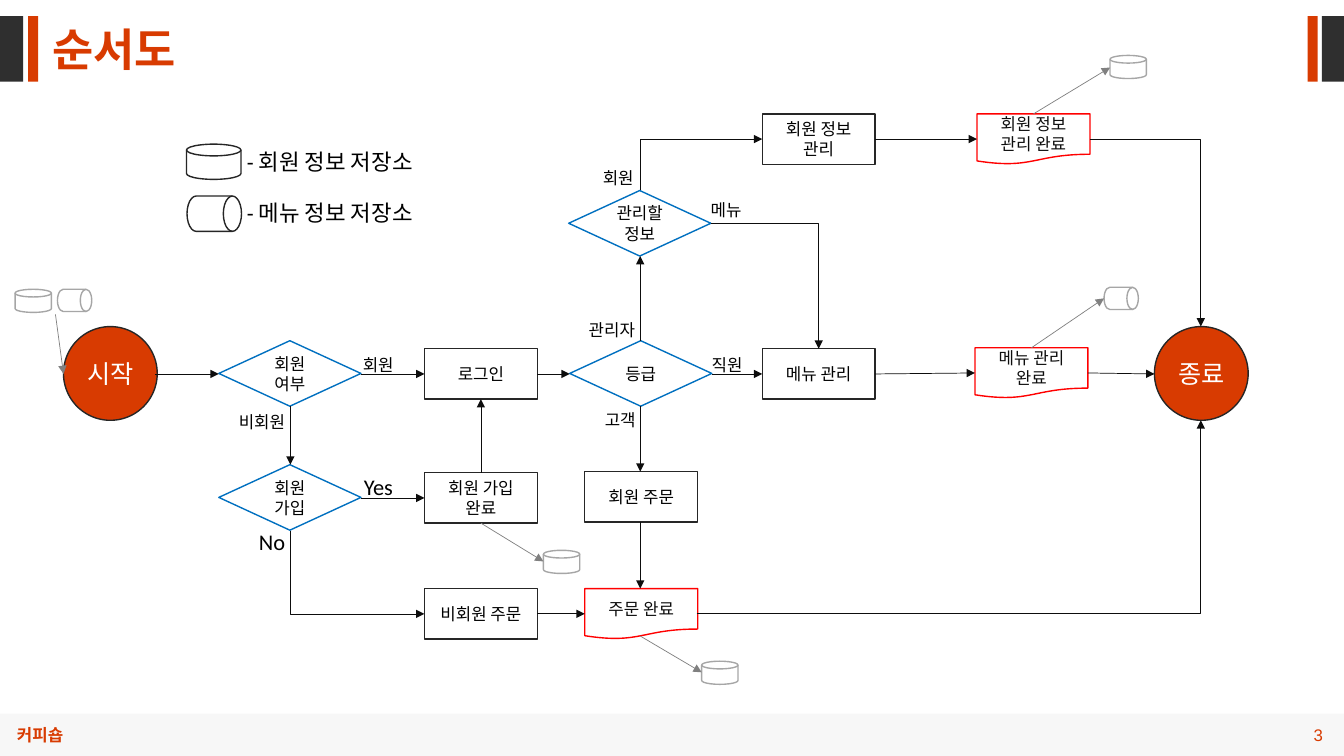
import pptx
import pptx.dml.color
import pptx.enum.shapes
import pptx.enum.text
import pptx.oxml
import pptx.oxml.ns
import pptx.util

SHAPE = pptx.enum.shapes.MSO_SHAPE
LINE = pptx.enum.shapes.MSO_CONNECTOR
ALIGN = pptx.enum.text.PP_ALIGN
ANCHOR = pptx.enum.text.MSO_ANCHOR
qn = pptx.oxml.ns.qn

ORANGE, DARK, BLACK, WHITE = "D83B01", "2F2F2F", "000000", "FFFFFF"
INK, OUTLINE, BLUE, RED = "0D0D0D", "262626", "0070C0", "FF0000"
GRAY, LIGHT_GRAY = "808080", "A6A6A6"


def px(n):
    return pptx.util.Emu(n * 9144)


def rgb(value):
    return pptx.dml.color.RGBColor.from_string(value)


def element(tag, attributes=""):
    return pptx.oxml.parse_xml(f'<a:{tag} {pptx.oxml.ns.nsdecls("a")} {attributes}/>')


class Flowchart:
    """Draws flowchart elements on the current slide in one shared style."""

    def __init__(self, s):
        self.s = s

    def fill_text(self, tf, text, size, color, align, font="Calibri", bold=False):
        tf.word_wrap = True
        tf.text = text
        for p in tf.paragraphs:
            p.alignment = align
            for r in p.runs:
                r.font.name = font
                r.font.size = pptx.util.Pt(size)
                r.font.bold = bold
                r.font.color.rgb = rgb(color)

    def shape(self, kind, x, y, w, h, fill=None, line=None):
        sp = self.s.shapes.add_shape(kind, px(x), px(y), px(w), px(h))
        sp.shadow.inherit = False
        if fill:
            sp.fill.solid()
            sp.fill.fore_color.rgb = rgb(fill)
        else:
            sp.fill.background()
        if line:
            sp.line.color.rgb = rgb(line)
            sp.line.width = pptx.util.Pt(1)
        else:
            sp.line.fill.background()
        return sp

    def node(self, kind, x, y, w, h, text, fill, line, size=12, color=BLACK):
        sp = self.shape(kind, x, y, w, h, fill, line)
        sp.text_frame.vertical_anchor = ANCHOR.MIDDLE
        self.fill_text(sp.text_frame, text, size, color, ALIGN.CENTER)

    def terminal(self, x, y, text):
        self.node(SHAPE.OVAL, x, y, 93, 93, text, ORANGE, OUTLINE, 18, WHITE)

    def process(self, x, y, text):
        self.node(SHAPE.FLOWCHART_PROCESS, x, y, 112, 50, text, None, OUTLINE)

    def decision(self, x, y, text):
        self.node(SHAPE.FLOWCHART_DECISION, x, y, 141, 65, text, None, BLUE)

    def document(self, x, y, text):
        self.node(SHAPE.FLOWCHART_DOCUMENT, x, y, 112, 50, text, WHITE, RED, color=INK)

    def disk(self, x, y, w=36, h=23, line=LIGHT_GRAY, rotation=0):
        sp = self.shape(SHAPE.FLOWCHART_MAGNETIC_DISK, x, y, w, h, WHITE, line)
        sp.rotation = rotation

    def text(self, x, y, w, h, text, size=12, color=BLACK, align=ALIGN.LEFT, **style):
        tf = self.s.shapes.add_textbox(px(x), px(y), px(w), px(h)).text_frame
        self.fill_text(tf, text, size, color, align, **style)
        tf.auto_size = pptx.enum.text.MSO_AUTO_SIZE.SHAPE_TO_FIT_TEXT
        return tf

    def arrow(self, x1, y1, x2, y2, color=INK, first=None):
        kind = LINE.ELBOW if first else LINE.STRAIGHT
        c = self.s.shapes.add_connector(kind, px(x1), px(y1), px(x2), px(y2))
        c.line.color.rgb = rgb(color)
        c.line.width = pptx.util.Pt(0.5)
        spPr = c._element.spPr
        spPr.find(qn("a:ln")).append(element("tailEnd", 'type="triangle"'))
        spPr.append(element("effectLst"))
        geom = spPr.find(qn("a:prstGeom"))
        if first == "across":
            geom.set("prst", "bentConnector2")
        elif first == "vertical":
            geom.find(qn("a:avLst")).append(element("gd", 'name="adj1" fmla="val 0"'))


def draw_frame(chart):
    for x, w, color in ((0, 23, DARK), (28, 10, ORANGE), (1297, 10, ORANGE), (1311, 22, DARK)):
        chart.shape(SHAPE.RECTANGLE, x, 16, w, 65, color)
    chart.shape(SHAPE.RECTANGLE, 0, 708, 1333, 42, "F7F7F7")
    number = chart.text(1235, 714, 87, 30, "3", 12, ORANGE, ALIGN.RIGHT, font="Arial")
    number.vertical_anchor = ANCHOR.MIDDLE
    chart.text(7, 714, 184, 30, "커피숍", 12, ORANGE, font="Arial", bold=True)
    title = chart.text(42, 27, 667, 54, "순서도", 32, ORANGE, font="Arial", bold=True)
    title.paragraphs[0].line_spacing = 0.8


def draw_nodes(chart):
    chart.terminal(63, 324, "시작")
    chart.terminal(1145, 324, "종료")
    for x, y, text in (
        (421, 346, "로그인"), (421, 469, "회원 가입 완료"), (421, 584, "비회원 주문"),
        (580, 468, "회원 주문"), (756, 346, "메뉴 관리"), (756, 113, "회원 정보 관리"),
    ):
        chart.process(x, y, text)
    for x, y, text in (
        (217, 338, "회원\n여부"), (217, 461, "회원\n가입"),
        (565, 338, "등급"), (564, 189, "관리할 정보"),
    ):
        chart.decision(x, y, text)
    for x, y, text in (
        (580, 584, "주문 완료"), (969, 113, "회원 정보 관리 완료"), (967, 345, "메뉴 관리 완료"),
    ):
        chart.document(x, y, text)


def draw_stores(chart):
    chart.disk(185, 143, 54, 35, OUTLINE)
    chart.disk(195, 185, 35, 54, OUTLINE, 90)
    for y, text in ((142, "- 회원 정보 저장소"), (193, "- 메뉴 정보 저장소")):
        chart.text(235, y, 225, 37, text, 16)
    for x, y in ((15, 287), (696, 656), (539, 546), (1101, 55)):
        chart.disk(x, y)
    for x, y in ((63, 281), (1101, 279)):
        chart.disk(x, y, 22, 34, rotation=90)


def draw_arrows(chart):
    for ends in (
        (154, 371, 217, 371), (358, 371, 421, 371), (533, 371, 565, 371),
        (706, 371, 756, 371), (868, 371, 967, 370), (1079, 370, 1145, 371),
        (477, 469, 477, 396), (288, 403, 288, 461), (358, 494, 421, 494),
        (533, 609, 580, 609), (635, 403, 635, 468), (635, 518, 635, 584),
        (635, 338, 635, 254), (868, 138, 969, 138),
    ):
        chart.arrow(*ends)
    for ends in ((691, 609, 1191, 417), (1081, 138, 1191, 324), (705, 222, 812, 346)):
        chart.arrow(*ends, first="across")
    for ends in ((288, 527, 421, 609), (635, 189, 756, 138)):
        chart.arrow(*ends, first="vertical")
    for ends in (
        (55, 312, 63, 371), (477, 519, 539, 557), (635, 631, 696, 667),
        (1025, 113, 1101, 67), (1023, 345, 1095, 296),
    ):
        chart.arrow(*ends, color=GRAY)


def draw_labels(chart):
    for x, y, text in (
        (350, 347, "회원"), (227, 404, "비회원"), (590, 402, "고객"), (696, 347, "직원"),
        (574, 312, "관리자"), (695, 193, "메뉴"), (588, 161, "회원"),
    ):
        chart.text(x, y, 71, 28, text)
    for x, y, text in ((247, 519, "No"), (351, 464, "Yes")):
        chart.text(x, y, 71, 34, text, 16)


def main():
    prs = pptx.Presentation()
    prs.slide_width, prs.slide_height = px(1333), px(750)
    chart = Flowchart(prs.slides.add_slide(prs.slide_layouts[6]))
    draw_frame(chart)
    draw_nodes(chart)
    draw_stores(chart)
    draw_arrows(chart)
    draw_labels(chart)
    prs.save("out.pptx")


if __name__ == "__main__":
    main()
